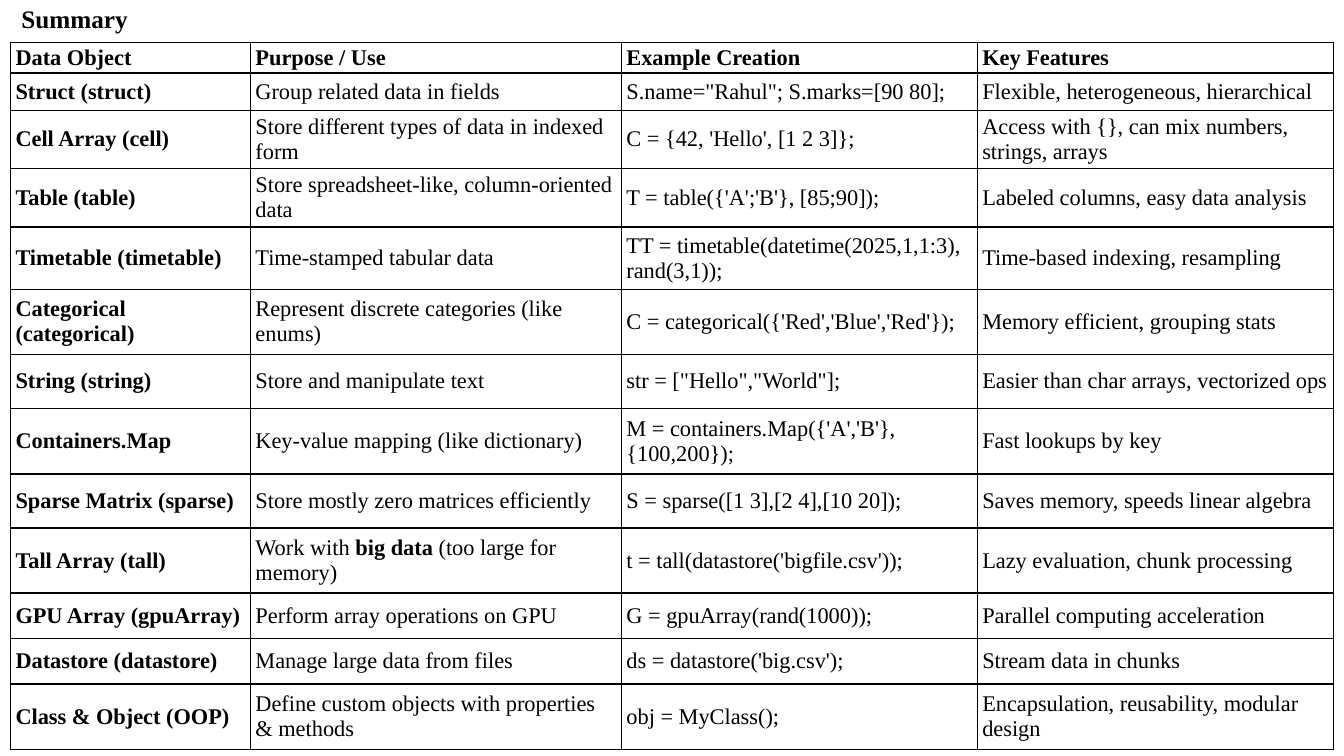
from lxml import etree
from pptx import Presentation
from pptx import util as u
from pptx.dml import color
from pptx.enum import text
from pptx.oxml import ns

BLACK = "000000"
FONT = "Times New Roman"
COLUMN_WIDTHS = [171.4, 265, 254.2, 254.2]
ROW_HEIGHTS = [22, 26.5, 41.5, 42, 44.5, 46.5, 38.5, 47, 38.5, 46.5, 32.5, 32.5, 47]

# A cell is a string, or a list of (text, bold) runs
ROWS = [
    ["Data Object", "Purpose / Use", "Example Creation", "Key Features"],
    ["Struct (struct)", "Group related data in fields",
     'S.name="Rahul"; S.marks=[90 80];', "Flexible, heterogeneous, hierarchical"],
    ["Cell Array (cell)", "Store different types of data in indexed form",
     "C = {42, 'Hello', [1 2 3]};", "Access with {}, can mix numbers, strings, arrays"],
    ["Table (table)", "Store spreadsheet-like, column-oriented data",
     "T = table({'A';'B'}, [85;90]);", "Labeled columns, easy data analysis"],
    ["Timetable (timetable)", "Time-stamped tabular data",
     "TT = timetable(datetime(2025,1,1:3), rand(3,1));", "Time-based indexing, resampling"],
    ["Categorical (categorical)", "Represent discrete categories (like enums)",
     "C = categorical({'Red','Blue','Red'});", "Memory efficient, grouping stats"],
    ["String (string)", "Store and manipulate text",
     'str = ["Hello","World"];', "Easier than char arrays, vectorized ops"],
    ["Containers.Map", "Key-value mapping (like dictionary)",
     "M = containers.Map({'A','B'},{100,200});", "Fast lookups by key"],
    ["Sparse Matrix (sparse)", "Store mostly zero matrices efficiently",
     "S = sparse([1 3],[2 4],[10 20]);", "Saves memory, speeds linear algebra"],
    ["Tall Array (tall)",
     [("Work with ", False), ("big data", True), (" (too large for memory)", False)],
     "t = tall(datastore('bigfile.csv'));", "Lazy evaluation, chunk processing"],
    ["GPU Array (gpuArray)", "Perform array operations on GPU",
     "G = gpuArray(rand(1000));", "Parallel computing acceleration"],
    ["Datastore (datastore)", "Manage large data from files",
     "ds = datastore('big.csv');", "Stream data in chunks"],
    ["Class & Object (OOP)", "Define custom objects with properties & methods",
     "obj = MyClass();", "Encapsulation, reusability, modular design"],
]


def rgb(value):
    return color.RGBColor.from_string(value)


def write(frame, content, size=16, bold=False, fill=BLACK, anchor=text.MSO_ANCHOR.MIDDLE):
    """Write a string or a list of (text, bold) runs into a text frame."""
    frame.word_wrap = True
    frame.vertical_anchor = anchor
    paragraph = frame.paragraphs[0]
    paragraph.alignment = text.PP_ALIGN.LEFT
    runs = [(content, bold)] if isinstance(content, str) else content
    for words, is_bold in runs:
        run = paragraph.add_run()
        run.text = words
        run.font.name = FONT
        run.font.size = u.Pt(size)
        run.font.bold = is_bold
        run.font.color.rgb = rgb(fill)


def add_borders(cell, line_color=BLACK, width=1):
    properties = cell._tc.get_or_add_tcPr()
    for position, side in enumerate(("lnL", "lnR", "lnT", "lnB")):
        line = etree.Element(ns.qn("a:" + side), w=str(u.Pt(width)))
        solid = etree.SubElement(line, ns.qn("a:solidFill"))
        etree.SubElement(solid, ns.qn("a:srgbClr"), val=line_color)
        properties.insert(position, line)


def place_title(slide, left, top, width, height):
    title = slide.shapes.title
    title.left, title.top = u.Pt(left), u.Pt(top)
    title.width, title.height = u.Pt(width), u.Pt(height)
    write(title.text_frame, "Summary", size=18, bold=True, anchor=text.MSO_ANCHOR.TOP)
    title.text_frame.auto_size = text.MSO_AUTO_SIZE.SHAPE_TO_FIT_TEXT


def add_summary_table(slide, left, top, width, height):
    table = slide.shapes.add_table(len(ROWS), len(COLUMN_WIDTHS), u.Pt(left), u.Pt(top),
                                   u.Pt(width), u.Pt(height)).table
    table.first_row = table.horz_banding = False
    # Shares of the box
    for column, share in zip(table.columns, COLUMN_WIDTHS):
        column.width = u.Pt(width * share / sum(COLUMN_WIDTHS))
    for row, share in zip(table.rows, ROW_HEIGHTS):
        row.height = u.Pt(height * share / sum(ROW_HEIGHTS))
    # Header row and first column are bold
    for row_index, contents in enumerate(ROWS):
        for column_index, content in enumerate(contents):
            cell = table.cell(row_index, column_index)
            cell.margin_left = cell.margin_right = u.Pt(3.4)
            cell.margin_top = cell.margin_bottom = u.Pt(1.4)
            cell.vertical_anchor = text.MSO_ANCHOR.MIDDLE
            cell.fill.background()
            write(cell.text_frame, content, bold=row_index == 0 or column_index == 0)
            add_borders(cell)


def main():
    presentation = Presentation()
    presentation.slide_width, presentation.slide_height = u.Pt(960), u.Pt(540)
    slide = presentation.slides.add_slide(presentation.slide_layouts[5])
    place_title(slide, 8, -1.4, 480, 29)
    add_summary_table(slide, 7.7, 30.2, sum(COLUMN_WIDTHS), sum(ROW_HEIGHTS))
    presentation.save("out.pptx")


if __name__ == "__main__":
    main()
